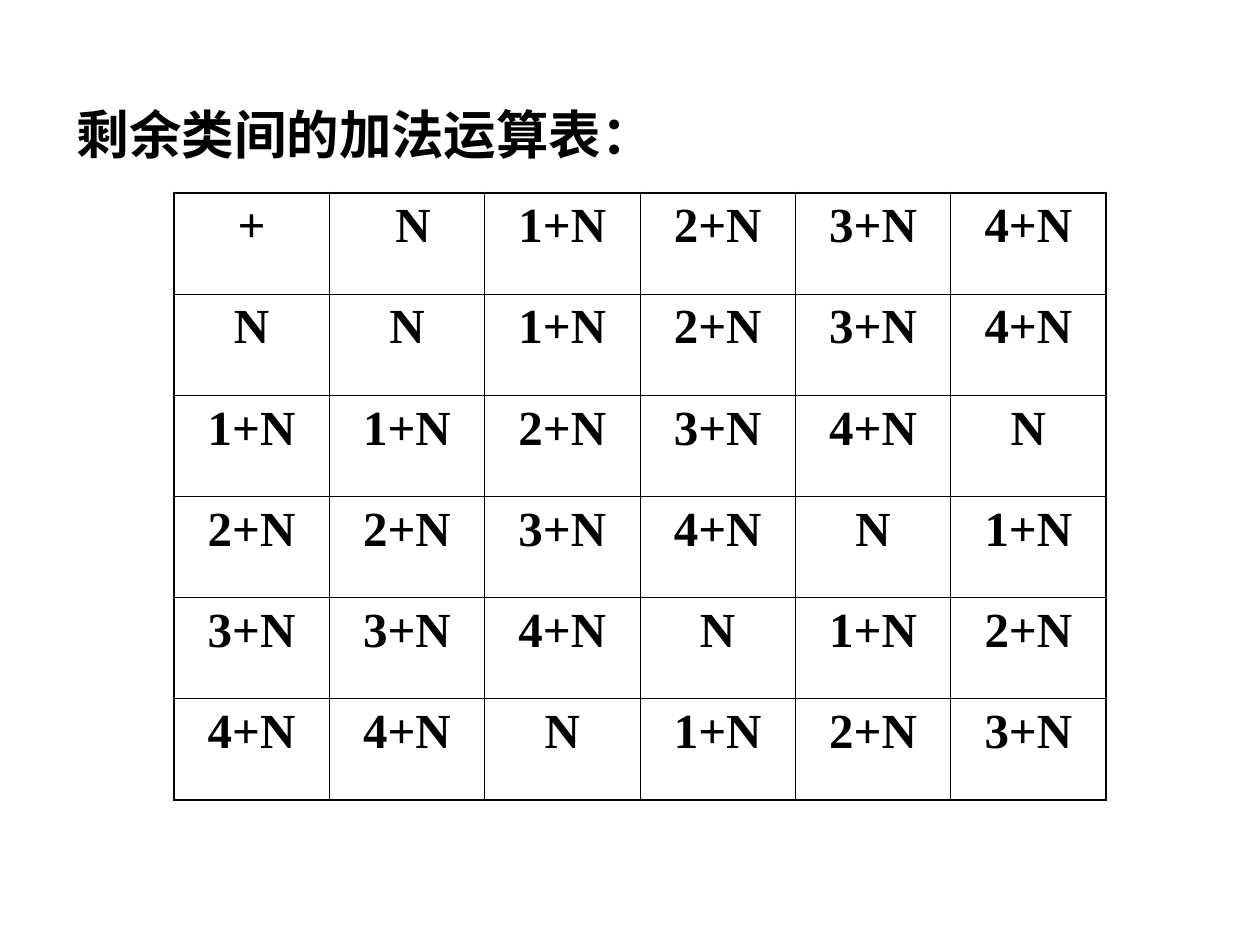
from dataclasses import dataclass

import lxml.etree
import pptx
import pptx.dml.color
import pptx.enum.text
import pptx.oxml
import pptx.oxml.ns
import pptx.util

Inches = pptx.util.Inches
Pt = pptx.util.Pt


@dataclass(frozen=True)
class Theme:
    ink: str = "000000"
    head_font: str = "Noto Sans CJK SC"
    cell_font: str = "Times New Roman"
    head_size: float = 30
    cell_size: float = 28
    thin: float = 0.45
    thick: float = 1.08


@dataclass(frozen=True)
class Box:
    left: float
    top: float
    width: float
    height: float

    def place(self) -> tuple:
        return tuple(map(Inches, (self.left, self.top, self.width, self.height)))


THEME = Theme()
ORDER = 5
HEAD = Box(0.51, 0.76, 9.13, 5.96)
GRID = Box(1.38, 1.53, 7.4, 4.82)


def add_run(para, text: str, font: str, size: float) -> None:
    run = para.add_run()
    run.text = text
    run.font.name = font
    run.font.size = Pt(size)
    run.font.bold = True
    run.font.color.rgb = pptx.dml.color.RGBColor.from_string(THEME.ink)
    east = lxml.etree.SubElement(run.font._element, pptx.oxml.ns.qn("a:ea"))
    east.set("typeface", font)


def add_head(slide, box: Box, text: str) -> None:
    frame = slide.shapes.add_textbox(*box.place()).text_frame
    frame.word_wrap = True
    para = frame.paragraphs[0]
    props = para._p.get_or_add_pPr()
    props.set("marL", str(Inches(0.38)))
    props.set("indent", str(Inches(-0.38)))
    add_run(para, text, THEME.head_font, THEME.head_size)


def class_name(value: int) -> str:
    rest = value % ORDER
    return f"{rest}+N" if rest else "N"


def sum_rows() -> list[list[str]]:
    names = [class_name(col) for col in range(ORDER)]
    first = ["+", " N"] + names[1:]
    return [first] + [
        [names[row]] + [class_name(row + col) for col in range(ORDER)]
        for row in range(ORDER)
    ]


def edge_cell(cell, outer: dict[str, bool]) -> None:
    props = cell._tc.get_or_add_tcPr()
    for place, (side, thick) in enumerate(outer.items()):
        width = Pt(THEME.thick if thick else THEME.thin)
        line = pptx.oxml.parse_xml(
            f'<a:ln{side} {pptx.oxml.ns.nsdecls("a")} w="{width}">'
            f'<a:solidFill><a:srgbClr val="{THEME.ink}"/></a:solidFill>'
            f'<a:prstDash val="solid"/></a:ln{side}>'
        )
        props.insert(place, line)


def add_grid(slide, box: Box, rows: list[list[str]]) -> None:
    count = len(rows)
    table = slide.shapes.add_table(count, count, *box.place()).table
    table.first_row = False
    table.horz_banding = False
    last = count - 1
    for row, texts in enumerate(rows):
        for col, text in enumerate(texts):
            cell = table.cell(row, col)
            cell.fill.background()
            edge_cell(cell, {"L": col == 0, "R": col == last,
                             "T": row == 0, "B": row == last})
            para = cell.text_frame.paragraphs[0]
            para.alignment = pptx.enum.text.PP_ALIGN.CENTER
            add_run(para, text, THEME.cell_font, THEME.cell_size)


def main() -> None:
    deck = pptx.Presentation()
    deck.slide_width = Inches(10)
    deck.slide_height = Inches(7.5)
    slide = deck.slides.add_slide(deck.slide_layouts[6])
    add_head(slide, HEAD, "剩余类间的加法运算表：")
    add_grid(slide, GRID, sum_rows())
    deck.save("out.pptx")


if __name__ == "__main__":
    main()
